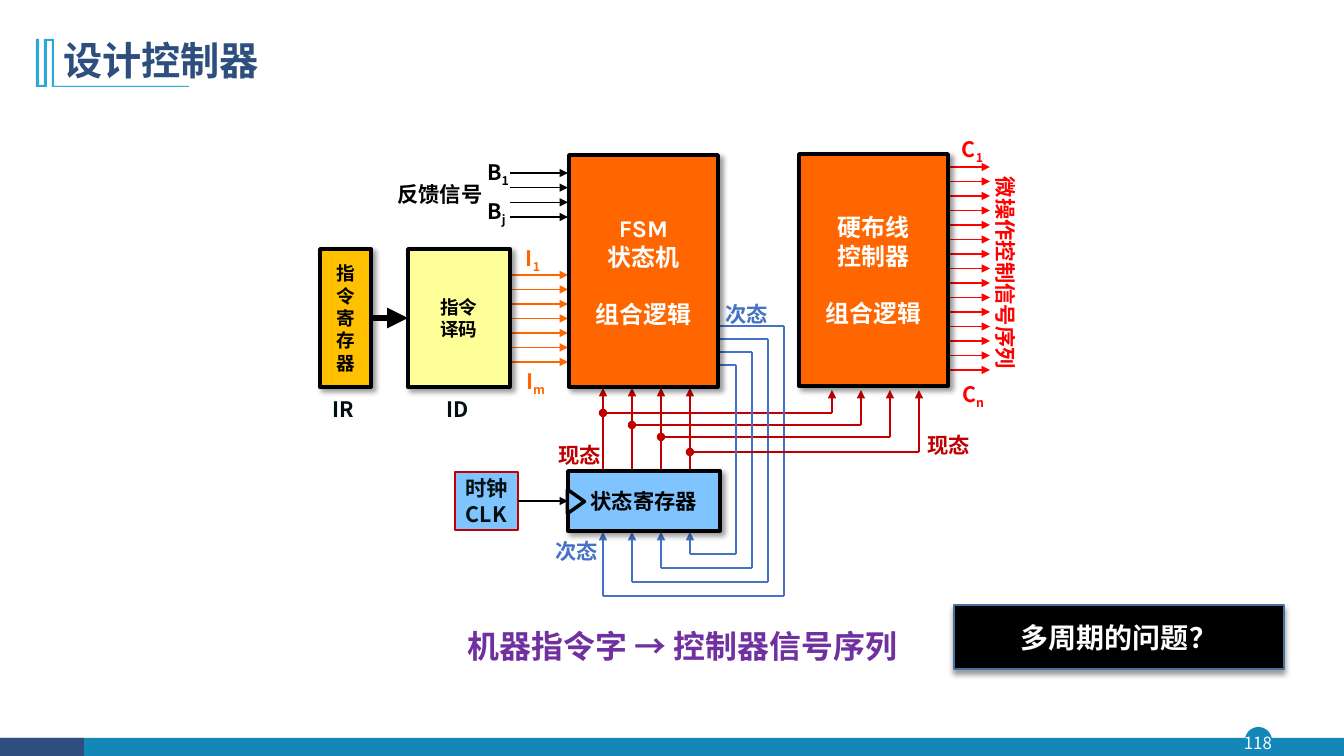
"""Build the controller design slide with its state machine diagram."""
import itertools

import lxml.etree
import pptx
import pptx.dml.color
import pptx.enum.shapes
import pptx.enum.text
import pptx.oxml.ns
import pptx.util

RGB = pptx.dml.color.RGBColor
KIND = pptx.enum.shapes.MSO_SHAPE
ALIGN = pptx.enum.text.PP_ALIGN
ANCHOR = pptx.enum.text.MSO_ANCHOR
SCALE = 914400 / 100.8

BLACK = RGB(0, 0, 0)
INK = RGB(0x00, 0x10, 0x10)
WHITE = RGB(0xFF, 0xFF, 0xFF)
NAVY = RGB(0x2E, 0x4E, 0x7E)
TEAL = RGB(0x13, 0x87, 0xB7)
CYAN = RGB(0x28, 0xA9, 0xD6)
GOLD = RGB(0xFF, 0xC0, 0x00)
YELLOW = RGB(0xFF, 0xFF, 0x99)
ORANGE = RGB(0xFF, 0x66, 0x00)
SKY = RGB(0x7F, 0xC4, 0xFF)
RED = RGB(0xFF, 0x00, 0x00)
DARK_RED = RGB(0xC0, 0x00, 0x00)
BLUE = RGB(0x44, 0x72, 0xC4)
STEEL = RGB(0x43, 0x73, 0x9E)
PURPLE = RGB(0x70, 0x30, 0xA0)
CJK = "Noto Sans CJK SC"
KARLA = "Karla"

TITLE = ("设计控制器", (53, 28, 1159, 69))
PAGE_NUMBER = ("118", (1242, 727, 32, 31))
CONCLUSION = ("机器指令字 → 控制器信号序列", (458, 608, 456, 68))
TITLE_MARK = [(54, 39), (54, 86), (189, 86), (189, 87), (52, 87), (52, 41), (47, 41),
              (47, 87), (36, 87), (36, 39), (39, 39), (39, 85), (44, 85), (44, 39)]
FOOTER = [
    (KIND.OVAL, (1245, 727, 27, 27), TEAL),
    (KIND.RECTANGLE, (0, 738, 1344, 18), TEAL),
    (KIND.RECTANGLE, (0, 738, 84, 18), NAVY),
]
BOXES = {
    "instruction register": ((320, 249, 51, 138), GOLD, (BLACK, 2.5), 45,
                             ["指令寄存器"], (KARLA, 13.3, BLACK)),
    "decoder": ((408, 249, 102, 138), YELLOW, (BLACK, 2.5), 45,
                ["指令", "译码"], (KARLA, 13.3, BLACK)),
    "state machine": ((569, 155, 149, 232), ORANGE, (BLACK, 2.5), 45,
                      ["FSM", "状态机", "组合逻辑"], (KARLA, 17.1, WHITE)),
    "controller": ((799, 154, 149, 232), ORANGE, (BLACK, 2.5), 45,
                   ["硬布线", "控制器", "组合逻辑"], (KARLA, 17.1, WHITE)),
    "state register": ((568, 471, 152, 60), SKY, (BLACK, 2.5), 45,
                       ["状态寄存器"], (KARLA, 15.2, BLACK)),
    "clock": ((455, 472, 63, 58), SKY, (DARK_RED, 1.5), None,
              ["时钟", "CLK"], (CJK, 15.2, INK)),
    "question": ((954, 605, 330, 64), BLACK, (STEEL, 1), 90,
                 ["多周期的问题？"], (CJK, 20, WHITE)),
}
LINKS = [("instruction register", "decoder", 5), ("clock", "state register", 2)]
CLOCK_NOTCH = (564, 493, 24, 17)
LABELS = [
    ("IR", "", (320, 391, 47, 36), INK, 0),
    ("ID", "", (434, 391, 47, 36), INK, 0),
    ("反馈信号", "", (387, 176, 106, 36), BLACK, 0),
    ("B", "1", (476, 154, 44, 36), BLACK, 0),
    ("B", "j", (477, 193, 39, 36), BLACK, 0),
    ("I", "1", (515, 240, 36, 36), ORANGE, 0),
    ("I", "m", (515, 363, 41, 36), ORANGE, 0),
    ("C", "1", (951, 131, 43, 36), RED, 0),
    ("C", "n", (951, 376, 44, 36), RED, 0),
    ("微操作控制信号序列", "", (899, 255, 213, 36), RED, 90),
    ("现态", "", (913, 427, 71, 36), DARK_RED, 0),
    ("现态", "", (544, 437, 71, 36), DARK_RED, 0),
    ("次态", "", (711, 296, 71, 36), BLUE, 0),
    ("次态", "", (541, 533, 71, 36), BLUE, 0),
]
SIGNAL_BUSES = [
    (4, 510, 568, 173, 217, BLACK),
    (7, 509, 568, 275, 362, ORANGE),
    (15, 947, 990, 167, 370, RED),
]
STATE_ROWS = [413, 425, 437, 452]


def px(value):
    return pptx.util.Emu(round(value * SCALE))


def add_format(target, values):
    for name, value in values.items():
        setattr(target, name, value)


def add_xml(parent, tag, **attributes):
    element = lxml.etree.SubElement(parent, pptx.oxml.ns.qn(tag))
    for name, value in attributes.items():
        element.set(name, str(value))
    return element


def add_run(paragraph, text, font, size, color, bold=True, baseline=0):
    run = paragraph.add_run()
    run.text = text
    add_format(run.font, {"name": font, "size": pptx.util.Pt(size), "bold": bold})
    run.font.color.rgb = color
    properties = run.font._element
    add_xml(properties, "a:ea", typeface=CJK)
    if baseline:
        properties.set("baseline", str(baseline))


def add_shape(slide, kind, frame, fill, line=None, shadow_angle=None):
    shape = slide.shapes.add_shape(kind, *map(px, frame))
    shape.shadow.inherit = False
    shape.fill.solid()
    shape.fill.fore_color.rgb = fill
    if line:
        shape.line.color.rgb, shape.line.width = line[0], pptx.util.Pt(line[1])
    else:
        shape.line.fill.background()
    if shadow_angle is not None:
        effects = shape._element.spPr.find(pptx.oxml.ns.qn("a:effectLst"))
        shadow = add_xml(effects, "a:outerShdw", blurRad=50800, dist=38100,
                         dir=shadow_angle * 60000, algn="tl", rotWithShape=0)
        add_xml(add_xml(shadow, "a:srgbClr", val="000000"), "a:alpha", val=40000)
    return shape


def add_box(slide, frame, fill, line, shadow_angle, rows, font):
    shape = add_shape(slide, KIND.RECTANGLE, frame, fill, line, shadow_angle)
    add_format(shape.text_frame, {"vertical_anchor": ANCHOR.MIDDLE, "word_wrap": len(rows) != 2})
    for index, row in enumerate(rows):
        paragraph = shape.text_frame.paragraphs[0] if index == 0 else shape.text_frame.add_paragraph()
        paragraph.alignment = ALIGN.CENTER
        if index == 2:
            paragraph.space_before = pptx.util.Pt(20)
        add_run(paragraph, row, *font)
    return shape


def add_text(slide, frame, alignment=ALIGN.CENTER, **values):
    box = slide.shapes.add_textbox(*map(px, frame))
    add_format(box.text_frame, {"word_wrap": False, **values})
    paragraph = box.text_frame.paragraphs[0]
    paragraph.alignment = alignment
    return box, paragraph


def add_line(slide, start, end, color, width, head=None, tail=None):
    kind = pptx.enum.shapes.MSO_CONNECTOR.STRAIGHT
    connector = slide.shapes.add_connector(kind, *map(px, start + end))
    connector.line.color.rgb, connector.line.width = color, pptx.util.Pt(width)
    outline = connector.line._get_or_add_ln()
    for tag, arrow in (("a:headEnd", head), ("a:tailEnd", tail)):
        if arrow:
            add_xml(outline, tag, type=arrow)
    add_xml(connector._element.spPr, "a:effectLst")
    return connector


def add_route(slide, points, color, head=None):
    pairs = list(itertools.pairwise(points))
    for index, (start, end) in enumerate(pairs):
        add_line(slide, start, end, color, 2, head if index == 0 else None,
                 "triangle" if index == len(pairs) - 1 else None)


def add_frame(slide):
    for kind, frame, color in FOOTER:
        add_shape(slide, kind, frame, color)
    text, frame = PAGE_NUMBER
    margins = dict.fromkeys(("margin_left", "margin_top", "margin_right", "margin_bottom"), 0)
    paragraph = add_text(slide, frame, vertical_anchor=ANCHOR.MIDDLE, **margins)[1]
    add_run(paragraph, text, CJK, 12, WHITE, bold=False)
    builder = slide.shapes.build_freeform(*TITLE_MARK[0], scale=SCALE)
    builder.add_line_segments(TITLE_MARK[1:], close=True)
    mark = builder.convert_to_shape()
    mark.shadow.inherit = False
    mark.fill.solid()
    mark.fill.fore_color.rgb = CYAN
    mark.line.fill.background()
    text, frame = TITLE
    title = slide.shapes.title
    add_format(title, dict(zip(("left", "top", "width", "height"), map(px, frame))))
    add_format(title.text_frame, {"vertical_anchor": ANCHOR.MIDDLE, "word_wrap": True,
                                  "auto_size": pptx.enum.text.MSO_AUTO_SIZE.NONE})
    paragraph = title.text_frame.paragraphs[0]
    add_format(paragraph, {"alignment": ALIGN.LEFT, "line_spacing": 0.9})
    add_run(paragraph, text, CJK, 28, NAVY)


def add_wires(slide):
    for count, left, right, first, last, color in SIGNAL_BUSES:
        for index in range(count):
            y = first + (last - first) * index / (count - 1)
            add_line(slide, (left, y), (right, y), color, 1, tail="triangle")
    for index, row in enumerate(STATE_ROWS):
        x = 603 + 29 * index
        add_line(slide, (x, 478), (x, 388), DARK_RED, 2, tail="triangle")
        add_route(slide, [(x, row), (x + 229, row), (x + 229, 390)], DARK_RED, "oval")
        top, right, bottom = 326 + 13 * index, 784 - 16 * index, 596 - 14 * index
        add_route(slide, [(718, top), (right, top), (right, bottom), (x, bottom), (x, 532)], BLUE)


def main():
    presentation = pptx.Presentation()
    add_format(presentation, {"slide_width": px(1344), "slide_height": px(756)})
    slide = presentation.slides.add_slide(presentation.slide_layouts[5])
    add_frame(slide)
    add_wires(slide)
    boxes = {name: add_box(slide, *values) for name, values in BOXES.items()}
    for source, target, width in LINKS:
        link = add_line(slide, (0, 0), (0, 0), BLACK, width, tail="triangle")
        link.begin_connect(boxes[source], 3)
        link.end_connect(boxes[target], 1)
    add_shape(slide, KIND.ISOSCELES_TRIANGLE, CLOCK_NOTCH, SKY, (BLACK, 2.5)).rotation = 90
    for text, subscript, frame, color, rotation in LABELS:
        box, paragraph = add_text(slide, frame)
        box.rotation = rotation
        add_run(paragraph, text, CJK, 15.2, color)
        if subscript:
            add_run(paragraph, subscript, CJK, 15.2, color, baseline=-25000)
    text, frame = CONCLUSION
    paragraph = add_text(slide, frame, ALIGN.LEFT, margin_top=px(19))[1]
    add_run(paragraph, text, CJK, 22.8, PURPLE)
    presentation.save("out.pptx")


if __name__ == "__main__":
    main()
